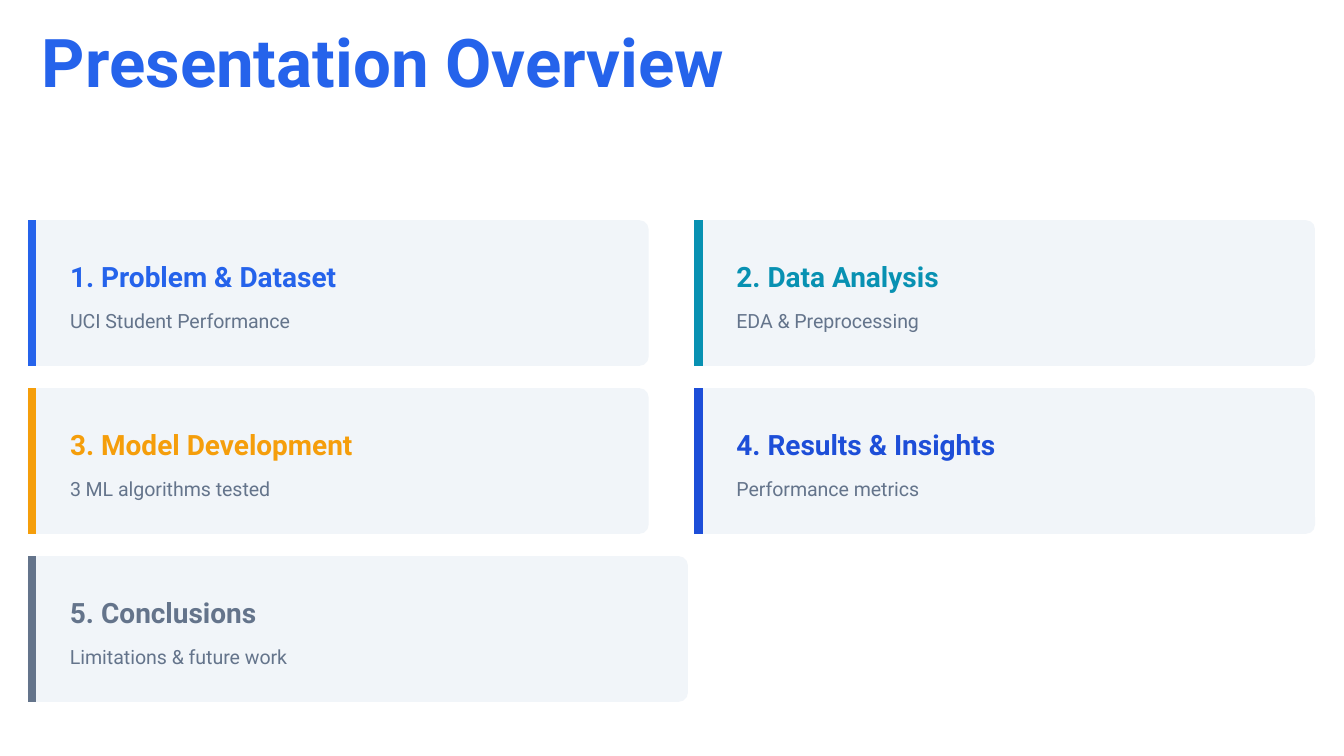
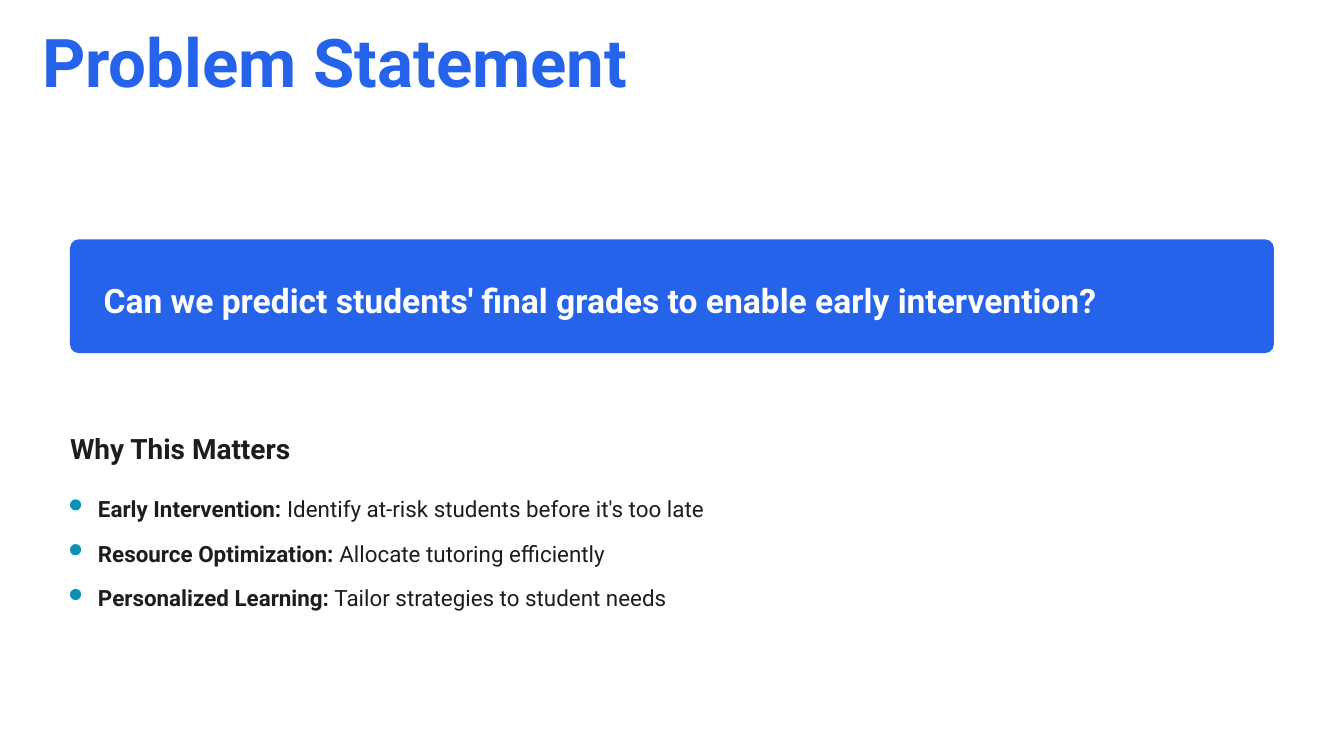
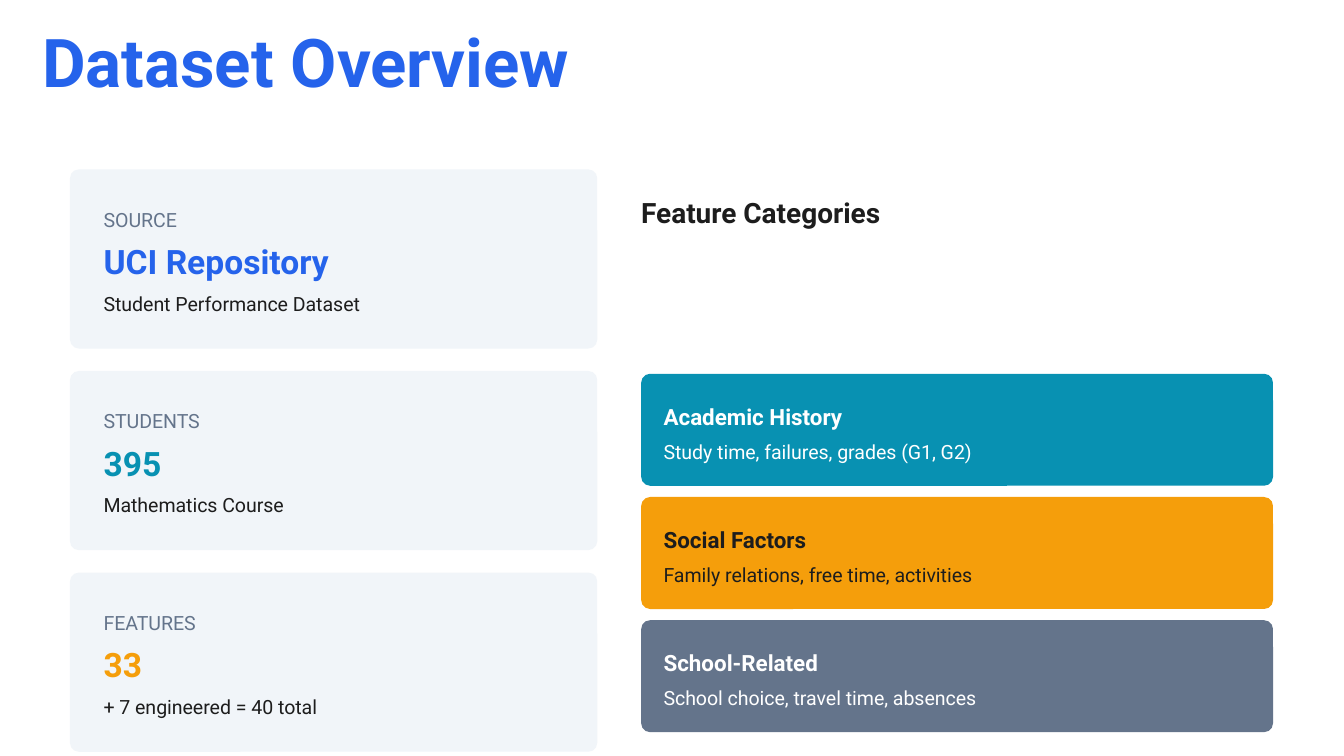
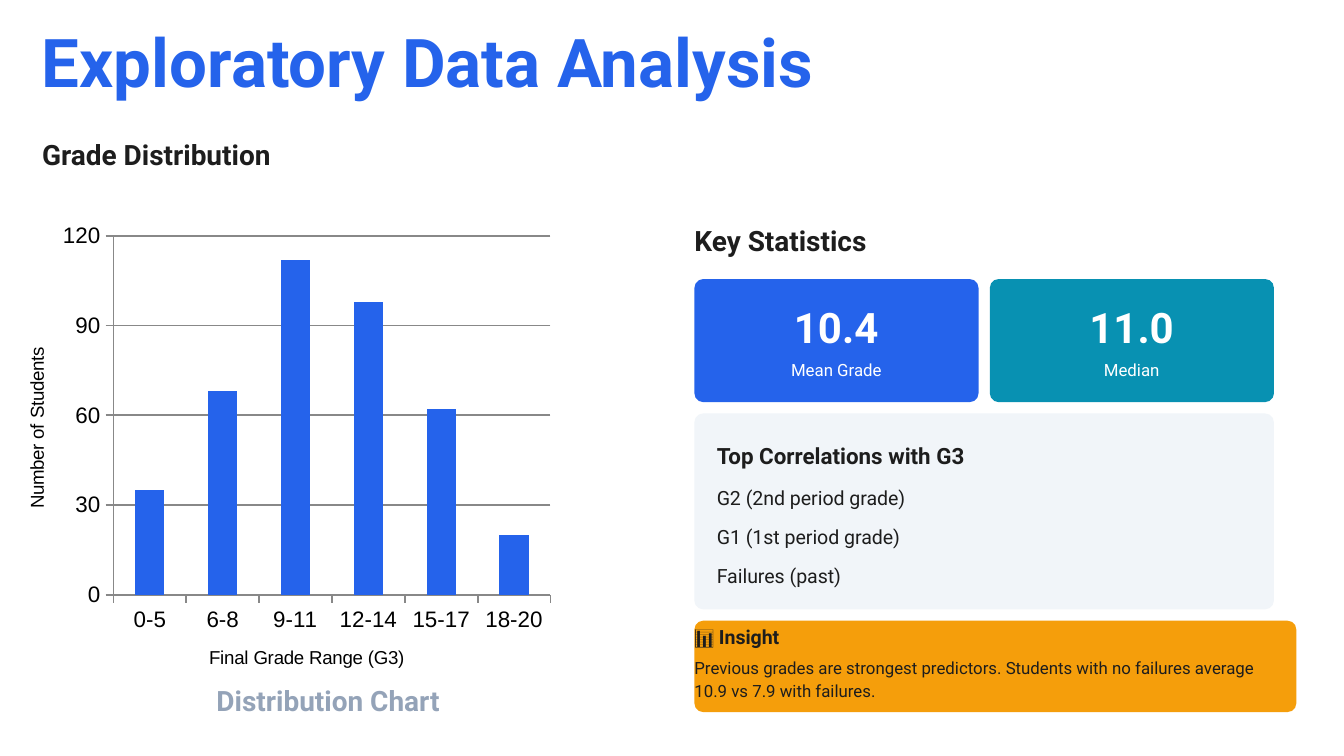
"""Build four slides on a student performance study."""
from dataclasses import dataclass

from lxml import etree
from pptx import Presentation
from pptx.chart.data import CategoryChartData
from pptx.dml.color import RGBColor
from pptx.enum.chart import XL_CHART_TYPE, XL_TICK_LABEL_POSITION, XL_TICK_MARK
from pptx.enum.shapes import MSO_CONNECTOR, MSO_SHAPE
from pptx.enum.text import PP_ALIGN
from pptx.oxml.ns import qn
from pptx.util import Pt

COLUMNS = XL_CHART_TYPE.COLUMN_CLUSTERED
LABELS_LOW = XL_TICK_LABEL_POSITION.LOW
TICK_OUTSIDE, TICK_NONE = XL_TICK_MARK.OUTSIDE, XL_TICK_MARK.NONE
STRAIGHT = MSO_CONNECTOR.STRAIGHT
ROUNDED = MSO_SHAPE.ROUNDED_RECTANGLE
LEFT, CENTER = PP_ALIGN.LEFT, PP_ALIGN.CENTER


@dataclass(frozen=True)
class TextStyle:
    size: float
    line: float
    bold: bool = False


@dataclass(frozen=True)
class Theme:
    font: str = "Roboto"
    chart_font: str = "Arial"
    blue: str = "2563EB"
    navy: str = "1D4ED8"
    teal: str = "0891B2"
    amber: str = "F59E0B"
    slate: str = "64748B"
    mist: str = "94A3B8"
    panel: str = "F1F5F9"
    ink: str = "1D1D1D"
    white: str = "FFFFFF"
    black: str = "000000"
    axis: str = "888888"
    radius: float = 4.8
    title: TextStyle = TextStyle(36, 36, True)
    statement: TextStyle = TextStyle(18, 25.2, True)
    heading: TextStyle = TextStyle(15, 21, True)
    figure: TextStyle = TextStyle(18, 24, True)
    statistic: TextStyle = TextStyle(22.5, 27, True)
    label: TextStyle = TextStyle(12, 18, True)
    body: TextStyle = TextStyle(10.5, 15)
    strong: TextStyle = TextStyle(10.5, 15, True)
    caption: TextStyle = TextStyle(9, 12)
    note: TextStyle = TextStyle(9, 12.6)
    axis_label: float = 12
    axis_title: float = 10


THEME = Theme()


def rgb(value):
    return RGBColor.from_string(value)


class Deck:
    def __init__(self, theme):
        self.theme = theme
        self.presentation = Presentation()
        self.presentation.slide_width = Pt(720)
        self.presentation.slide_height = Pt(405)
        self.slide = None

    def new_slide(self, title, title_width):
        self.slide = self.presentation.slides.add_slide(self.presentation.slide_layouts[6])
        background = self.slide.background.fill
        background.solid()
        background.fore_color.rgb = rgb(self.theme.white)
        self.text(22.5, 18, title_width, title, self.theme.title, self.theme.blue)

    def box(self, left, top, width, height, color):
        shape = self.slide.shapes.add_shape(ROUNDED, Pt(left), Pt(top), Pt(width), Pt(height))
        shape.adjustments[0] = min(0.5, self.theme.radius / height)
        shape.shadow.inherit = False
        shape.fill.solid()
        shape.fill.fore_color.rgb = rgb(color)
        shape.line.fill.background()

    def bar(self, x, top, height, color):
        connector = self.slide.shapes.add_connector(
            STRAIGHT, Pt(x), Pt(top), Pt(x), Pt(top + height))
        connector.line.color.rgb = rgb(color)
        connector.line.width = Pt(4.5)
        etree.SubElement(connector._element.spPr, qn("a:effectLst"))

    def text(self, left, top, width, content, style, color, align=LEFT,
             before=0, after=0, lines=1, plain=""):
        shape = self.slide.shapes.add_textbox(
            Pt(left), Pt(top), Pt(width), Pt(style.line * lines))
        frame = shape.text_frame
        frame.word_wrap = True
        frame.margin_left = frame.margin_right = frame.margin_top = frame.margin_bottom = 0
        paragraph = frame.paragraphs[0]
        paragraph.alignment = align
        paragraph.line_spacing = Pt(style.line)
        paragraph.space_before = Pt(before)
        paragraph.space_after = Pt(after)
        for words, bold in ((content, style.bold), (plain, False)):
            if words:
                run = paragraph.add_run()
                run.text = words
                self.font(run.font, self.theme.font, style.size, color, bold)

    def font(self, font, name, size, color, bold=False):
        font.name = name
        font.size = Pt(size)
        font.bold = bold
        font.color.rgb = rgb(color)

    def column_chart(self, left, top, width, height, categories, values, plot_area):
        data = CategoryChartData()
        data.categories = categories
        data.add_series("Series 1", values)
        chart = self.slide.shapes.add_chart(
            COLUMNS, Pt(left), Pt(top), Pt(width), Pt(height), data).chart
        chart.has_legend = False
        chart.has_title = False
        self.font(chart.font, self.theme.chart_font, self.theme.axis_title, self.theme.black)
        plot = chart.plots[0]
        plot.gap_width = 150
        plot.vary_by_categories = False
        fill = plot.series[0].format.fill
        fill.solid()
        fill.fore_color.rgb = rgb(self.theme.blue)
        self.place_plot(chart, plot_area)
        return chart

    def place_plot(self, chart, plot_area):
        area = chart._chartSpace.find(qn("c:chart")).find(qn("c:plotArea"))
        for layout in area.findall(qn("c:layout")):
            area.remove(layout)
        layout = etree.Element(qn("c:layout"))
        manual = etree.SubElement(layout, qn("c:manualLayout"))
        settings = [("layoutTarget", "inner"), ("xMode", "edge"), ("yMode", "edge")]
        settings += zip("xywh", plot_area)
        for name, value in settings:
            etree.SubElement(manual, qn(f"c:{name}")).set("val", str(value))
        area.insert(0, layout)

    def style_axis(self, axis, title):
        axis.has_title = True
        run = axis.axis_title.text_frame.paragraphs[0].add_run()
        run.text = title
        self.font(run.font, self.theme.chart_font, self.theme.axis_title, self.theme.black)
        self.font(axis.tick_labels.font, self.theme.chart_font,
                  self.theme.axis_label, self.theme.black)
        axis.major_tick_mark = TICK_OUTSIDE
        axis.minor_tick_mark = TICK_NONE
        self.style_line(axis.format.line)

    def style_line(self, line):
        line.color.rgb = rgb(self.theme.axis)
        line.width = Pt(1)


def overview_slide(deck):
    theme = deck.theme
    deck.new_slide("Presentation Overview", 396)
    sections = [
        ("1. Problem & Dataset", "UCI Student Performance", theme.blue, 332.5),
        ("2. Data Analysis", "EDA & Preprocessing", theme.teal, 332.5),
        ("3. Model Development", "3 ML algorithms tested", theme.amber, 332.5),
        ("4. Results & Insights", "Performance metrics", theme.navy, 332.5),
        ("5. Conclusions", "Limitations & future work", theme.slate, 353.5),
    ]
    height = 78
    for index, (heading, detail, color, width) in enumerate(sections):
        row, column = divmod(index, 2)
        left, top = 15 + 357 * column, 118 + 90 * row
        deck.box(left, top, width, height, theme.panel)
        deck.bar(left + 2.25, top, height, color)
        deck.text(left + 22.5, top + 18, width - 34.5, heading, theme.heading, color, after=6)
        deck.text(left + 22.5, top + 45, width - 34.5, detail, theme.body, theme.slate)


def problem_slide(deck):
    theme = deck.theme
    deck.new_slide("Problem Statement", 345)
    deck.box(37.5, 128.25, 645, 61, theme.blue)
    deck.text(55.5, 146.25, 621,
              "Can we predict students' final grades to enable early intervention?",
              theme.statement, theme.white)
    deck.text(37.5, 228.25, 658, "Why This Matters", theme.heading, theme.ink, after=12)
    reasons = [
        ("Early Intervention:", " Identify at-risk students before it's too late", 336),
        ("Resource Optimization:", " Allocate tutoring efficiently", 282),
        ("Personalized Learning:", " Tailor strategies to student needs", 317.5),
    ]
    for index, (reason, explanation, width) in enumerate(reasons):
        top = 261.5 + 24 * index
        deck.box(37.5, top + 6, 6, 6, theme.teal)
        deck.text(52.5, top, width, reason, theme.label, theme.ink, plain=explanation)


def dataset_slide(deck):
    theme = deck.theme
    deck.new_slide("Dataset Overview", 345)
    facts = [
        ("SOURCE", "UCI Repository", "Student Performance Dataset", theme.blue),
        ("STUDENTS", "395", "Mathematics Course", theme.teal),
        ("FEATURES", "33", "+ 7 engineered = 40 total", theme.amber),
    ]
    for index, (label, figure, detail, color) in enumerate(facts):
        top = 90.75 + 108 * index
        deck.box(37.5, top, 282.5, 96, theme.panel)
        deck.text(55.5, top + 18, 251.5, label, theme.body, theme.slate, after=3)
        deck.text(55.5, top + 36, 251.5, figure, theme.figure, color)
        deck.text(55.5, top + 63, 251.5, detail, theme.body, theme.ink, before=3)

    deck.text(343.5, 101.5, 346, "Feature Categories", theme.heading, theme.ink, after=6)
    categories = [
        ("Academic History", "Study time, failures, grades (G1, G2)", theme.teal, theme.white),
        ("Social Factors", "Family relations, free time, activities", theme.amber, theme.ink),
        ("School-Related", "School choice, travel time, absences", theme.slate, theme.white),
    ]
    for index, (category, examples, fill, color) in enumerate(categories):
        top = 200.25 + 66 * index
        deck.box(343.5, top, 338.5, 60, fill)
        deck.text(355.5, top + 12, 321, category, theme.label, color, after=3)
        deck.text(355.5, top + 33, 321, examples, theme.body, color)


def analysis_slide(deck):
    theme = deck.theme
    deck.new_slide("Exploratory Data Analysis", 454.5)
    deck.text(22.5, 70.5, 317, "Grade Distribution", theme.heading, theme.ink, after=6)
    deck.text(116, 363, 130, "Distribution Chart", theme.heading, theme.mist)

    left = 372
    deck.text(left, 116.5, 317, "Key Statistics", theme.heading, theme.ink, after=6)
    statistics = [("10.4", "Mean Grade", theme.blue), ("11.0", "Median", theme.teal)]
    for index, (value, caption, color) in enumerate(statistics):
        tile_left, top = left + 158.25 * index, 149.5
        deck.box(tile_left, top, 152.25, 66, color)
        deck.text(tile_left + 10.5, top + 12, 131, value, theme.statistic, theme.white, CENTER)
        deck.text(tile_left + 10.5, top + 42, 131, caption, theme.caption, theme.white,
                  CENTER, before=3)

    deck.box(left, 221.5, 310.5, 105, theme.panel)
    deck.text(left + 12, 233.5, 292, "Top Correlations with G3", theme.label, theme.ink, after=6)
    correlations = [("G2 (2nd period grade)", 105), ("G1 (1st period grade)", 101.5),
                    ("Failures (past)", 68.5)]
    for index, (feature, width) in enumerate(correlations):
        deck.text(left + 12, 257.75 + 21 * index, width, feature, theme.body, theme.ink)

    deck.box(left, 332.5, 322.5, 49, theme.amber)
    deck.text(left, 332.5, 317, "📊 Insight", theme.strong, theme.ink)
    deck.text(left, 350.5, 317,
              "Previous grades are strongest predictors. Students with no failures "
              "average 10.9 vs 7.9 with failures.",
              theme.note, theme.ink, before=3, lines=2)
    grade_chart(deck)


def grade_chart(deck):
    chart = deck.column_chart(
        11.5, 116.5, 302.5, 252,
        ["0-5", "6-8", "9-11", "12-14", "15-17", "18-20"],
        [35, 68, 112, 98, 62, 20], (0.163, 0.039, 0.774, 0.764))
    deck.style_axis(chart.category_axis, "Final Grade Range (G3)")
    chart.category_axis.tick_label_position = LABELS_LOW
    students = chart.value_axis
    deck.style_axis(students, "Number of Students")
    students.minimum_scale, students.maximum_scale, students.major_unit = 0, 120, 30
    students.has_major_gridlines = True
    deck.style_line(students.major_gridlines.format.line)


def main():
    deck = Deck(THEME)
    for build in (overview_slide, problem_slide, dataset_slide, analysis_slide):
        build(deck)
    deck.presentation.save("out.pptx")


if __name__ == "__main__":
    main()
